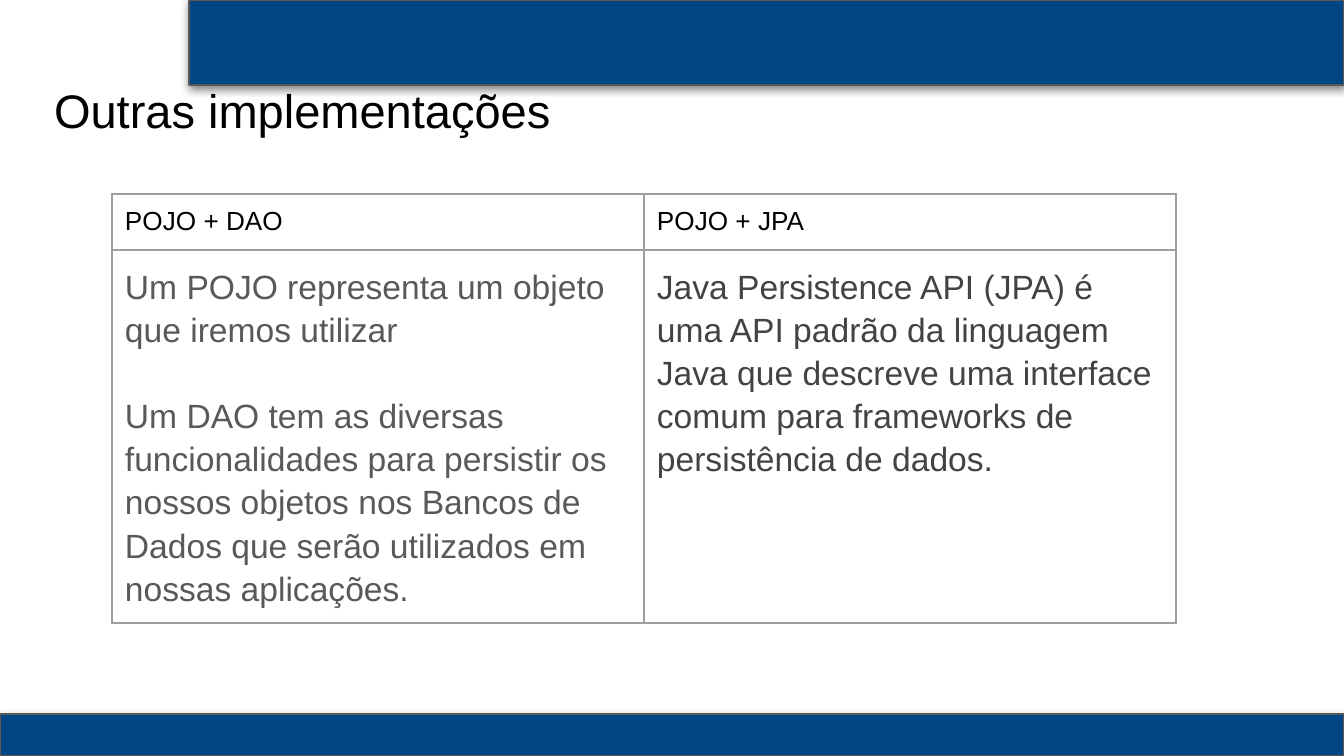
from dataclasses import dataclass

from lxml.etree import SubElement
from pptx import Presentation
from pptx.dml.color import RGBColor
from pptx.enum.shapes import MSO_SHAPE
from pptx.enum.text import MSO_ANCHOR, PP_ALIGN
from pptx.oxml.ns import qn
from pptx.util import Pt

# Content
TITLE = "Outras implementações"
HEADERS = ["POJO + DAO", "POJO + JPA"]
BODIES = [
    [
        "Um POJO representa um objeto que iremos utilizar",
        "Um DAO tem as diversas funcionalidades para persistir os nossos objetos "
        "nos Bancos de Dados que serão utilizados em nossas aplicações.",
    ],
    [
        "Java Persistence API (JPA) é uma API padrão da linguagem Java que descreve "
        "uma interface comum para frameworks de persistência de dados.",
    ],
]

# Geometry in px: left, top, width, height
SCALE = 914400 / 134.4
PAGE_SIZE = (1344, 756)
BARS = [(0, 714, 1344, 42), (189, 0, 1155, 85)]
TITLE_BOX = (41, 66, 1268, 85)
TABLE_LEFT, TABLE_TOP, COLUMN_WIDTH = 112, 194, 532
ROW_HEIGHTS = [56, 373]
INSET = 13


@dataclass(frozen=True)
class Theme:
    font: str = "Arial"
    bar: str = "004684"
    bar_line: str = "595959"
    border: str = "9E9E9E"
    ink: str = "000000"
    bodies: tuple = ("595959", "434343")
    title_size: float = 25.2
    header_size: int = 14
    body_size: int = 18
    line_width: float = 0.75


THEME = Theme()


def px(value):
    return round(value * SCALE)


def write(frame, paragraphs, size, color, spacing=1.0, gap=0):
    """Fill a text frame, with a gap between its paragraphs."""
    frame.word_wrap = True
    for index, text in enumerate(paragraphs):
        para = frame.add_paragraph() if index else frame.paragraphs[0]
        para.alignment = PP_ALIGN.LEFT
        para.line_spacing = spacing
        para.space_before = Pt(gap if index else 0)
        span = para.add_run()
        span.text = text
        span.font.name = THEME.font
        span.font.size = Pt(size)
        span.font.color.rgb = RGBColor.from_string(color)


def set_insets(target):
    for side in ("left", "top", "right", "bottom"):
        setattr(target, f"margin_{side}", px(INSET))


def add_bar(page, bounds):
    bar = page.shapes.add_shape(MSO_SHAPE.RECTANGLE, *map(px, bounds))
    bar.fill.solid()
    bar.fill.fore_color.rgb = RGBColor.from_string(THEME.bar)
    bar.line.color.rgb = RGBColor.from_string(THEME.bar_line)
    bar.line.width = Pt(THEME.line_width)
    # Soft shadow straight below
    bar.shadow.inherit = False
    effects = bar.element.spPr.find(qn("a:effectLst"))
    shadow = SubElement(effects, qn("a:outerShdw"), blurRad=str(Pt(4.5)),
                        dist=str(Pt(1.5)), dir="5400000", rotWithShape="0")
    color = SubElement(shadow, qn("a:srgbClr"), val=THEME.ink)
    SubElement(color, qn("a:alpha"), val="49000")


def format_cell(cell):
    set_insets(cell)
    cell.vertical_anchor = MSO_ANCHOR.TOP
    properties = cell._tc.get_or_add_tcPr()
    for side in ("lnL", "lnR", "lnT", "lnB"):
        line = SubElement(properties, qn(f"a:{side}"), w=str(Pt(THEME.line_width)))
        fill = SubElement(line, qn("a:solidFill"))
        SubElement(fill, qn("a:srgbClr"), val=THEME.border)
    cell.fill.background()


def add_comparison(page):
    frame = page.shapes.add_table(
        len(ROW_HEIGHTS), len(HEADERS), px(TABLE_LEFT), px(TABLE_TOP),
        px(COLUMN_WIDTH * len(HEADERS)), px(sum(ROW_HEIGHTS)))
    table = frame.table
    table.first_row = table.horz_banding = False
    for row, height in zip(table.rows, ROW_HEIGHTS):
        row.height = px(height)
    for cell in table.iter_cells():
        format_cell(cell)
    for column, (header, body, color) in enumerate(zip(HEADERS, BODIES, THEME.bodies)):
        write(table.cell(0, column).text_frame, [header], THEME.header_size, THEME.ink)
        write(table.cell(1, column).text_frame, body, THEME.body_size, color,
              spacing=1.15, gap=23)


def main():
    deck = Presentation()
    deck.slide_width, deck.slide_height = map(px, PAGE_SIZE)
    page = deck.slides.add_slide(deck.slide_layouts[5])

    # Bars
    for bounds in BARS:
        add_bar(page, bounds)

    # Title, in front of the bars
    title = page.shapes.title
    title.left, title.top, title.width, title.height = map(px, TITLE_BOX)
    title.element.getparent().append(title.element)
    set_insets(title.text_frame)
    title.text_frame.vertical_anchor = MSO_ANCHOR.BOTTOM
    write(title.text_frame, [TITLE], THEME.title_size, THEME.ink)

    # Table
    add_comparison(page)
    deck.save("out.pptx")


if __name__ == "__main__":
    main()
